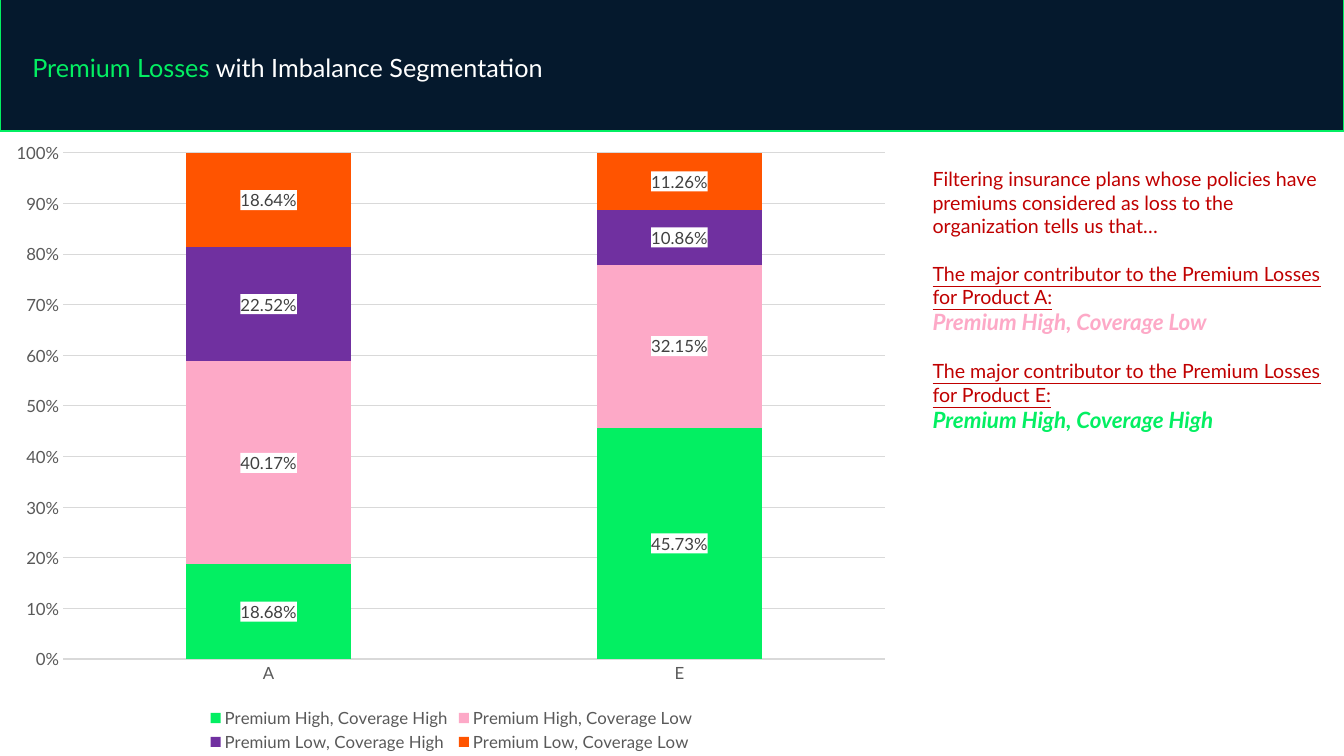
import pptx
import pptx.chart.data
import pptx.dml.color
import pptx.enum.chart
import pptx.enum.shapes
import pptx.enum.text
import pptx.oxml
import pptx.oxml.ns
import pptx.util

Pt = pptx.util.Pt

# Content
TITLE = [("Premium Losses ", "green"), ("with Imbalance Segmentation", "white")]
PRODUCTS = ["A", "E"]
SEGMENTS = [
    ("Premium High, Coverage High", (0.1868, 0.4573), "green"),
    ("Premium High, Coverage Low", (0.4017, 0.3215), "pink"),
    ("Premium Low, Coverage High", (0.2252, 0.1086), "purple"),
    ("Premium Low, Coverage Low", (0.1864, 0.1126), "orange"),
]
# Text, style, space before
FINDINGS = [
    ("Filtering insurance plans whose policies have premiums considered as loss "
     "to the organization tells us that…", "intro", 0),
    ("The major contributor to the Premium Losses for Product A:", "lead", 16.8),
    ("Premium High, Coverage Low", "pink", 0),
    ("The major contributor to the Premium Losses for Product E:", "lead", 16.8),
    ("Premium High, Coverage High", "green", 0),
]

# Theme
THEME = {
    "font": "Lato",
    "colors": {
        "navy": "05192D", "green": "03EF62", "white": "FFFFFF", "red": "C00000",
        "pink": "FDA9C7", "purple": "7030A0", "orange": "FF5400",
        "axis": "595959", "label": "404040", "grid": "D9D9D9",
    },
    "sizes": {"title": 18, "body": 14, "answer": 16, "chart": 12},
}

# Layout
SLIDE_W, SLIDE_H = 960, 540
HEADER_TOP, HEADER_BOTTOM = -1.44, 93.6
CHART_W = 645
PLOT = {"x": 0.07, "y": 0.035, "w": 0.91, "h": 0.81}


def color(name):
    return pptx.dml.color.RGBColor.from_string(THEME["colors"][name])


def style_font(font, size, color_name):
    font.name = THEME["font"]
    font.size = Pt(THEME["sizes"][size])
    font.color.rgb = color(color_name)


def paint(fill, color_name):
    fill.solid()
    fill.fore_color.rgb = color(color_name)


def add_text_frame(slide, left, top, width, height):
    frame = slide.shapes.add_textbox(Pt(left), Pt(top), Pt(width), Pt(height)).text_frame
    frame.word_wrap = True
    return frame


def chart_xml(tag, body):
    return pptx.oxml.parse_xml(
        f"<c:{tag} {pptx.oxml.ns.nsdecls('c', 'a')}>{body}</c:{tag}>")


def add_header(slide):
    band = slide.shapes.add_shape(
        pptx.enum.shapes.MSO_SHAPE.RECTANGLE,
        0, Pt(HEADER_TOP), Pt(SLIDE_W), Pt(HEADER_BOTTOM - HEADER_TOP))
    band.shadow.inherit = False
    paint(band.fill, "navy")
    band.line.color.rgb = color("green")
    band.line.width = Pt(1.5)
    title = add_text_frame(slide, 16, 34, 753, 29).paragraphs[0]
    for words, color_name in TITLE:
        run = title.add_run()
        run.text = words
        style_font(run.font, "title", color_name)


def add_findings(slide):
    frame = add_text_frame(slide, 659, 116, 295, 199)
    for index, (words, kind, gap) in enumerate(FINDINGS):
        finding = frame.paragraphs[0] if index == 0 else frame.add_paragraph()
        finding.text = words
        if gap:
            finding.space_before = Pt(gap)
        font = finding.runs[0].font
        if kind in ("intro", "lead"):
            style_font(font, "body", "red")
            font.underline = kind == "lead"
        else:
            style_font(font, "answer", kind)
            font.bold = font.italic = True


def style_axes(chart):
    for axis in (chart.category_axis, chart.value_axis):
        axis.major_tick_mark = axis.minor_tick_mark = pptx.enum.chart.XL_TICK_MARK.NONE
        style_font(axis.tick_labels.font, "chart", "axis")
    products, share = chart.category_axis, chart.value_axis
    products.format.line.color.rgb = color("grid")
    products.format.line.width = Pt(0.75)
    share.format.line.fill.background()
    share.minimum_scale, share.maximum_scale, share.major_unit = 0, 1, 0.1
    share.tick_labels.number_format = "0%"
    share.tick_labels.number_format_is_linked = False
    share.major_gridlines.format.line.color.rgb = color("grid")
    share.major_gridlines.format.line.width = Pt(0.75)


def style_segment(segment, color_name):
    paint(segment.format.fill, color_name)
    labels = segment.data_labels
    labels.show_value = True
    labels.number_format = "0.00%"
    labels.number_format_is_linked = False
    labels.position = pptx.enum.chart.XL_LABEL_POSITION.CENTER
    style_font(labels.font, "chart", "label")
    # White plate behind each label
    plate = chart_xml("spPr", f'<a:solidFill><a:srgbClr val="{color("white")}"/></a:solidFill>')
    labels._element.find(pptx.oxml.ns.qn("c:numFmt")).addnext(plate)


def add_loss_chart(slide):
    data = pptx.chart.data.CategoryChartData(number_format="0.00%")
    data.categories = PRODUCTS
    for name, shares, _ in SEGMENTS:
        data.add_series(name, shares)
    chart = slide.shapes.add_chart(
        pptx.enum.chart.XL_CHART_TYPE.COLUMN_STACKED_100,
        0, Pt(HEADER_BOTTOM), Pt(CHART_W), Pt(SLIDE_H - HEADER_BOTTOM), data).chart
    chart.has_title = False
    style_font(chart.font, "chart", "axis")
    columns = chart.plots[0]
    columns.gap_width, columns.overlap = 150, 100
    columns.vary_by_categories = False
    for segment, (_, _, color_name) in zip(columns.series, SEGMENTS):
        style_segment(segment, color_name)
    style_axes(chart)

    chart.has_legend = True
    chart.legend.position = pptx.enum.chart.XL_LEGEND_POSITION.BOTTOM
    chart.legend.include_in_layout = False
    style_font(chart.legend.font, "chart", "axis")

    # Fixed plot area
    modes = '<c:layoutTarget val="inner"/><c:xMode val="edge"/><c:yMode val="edge"/>'
    sides = "".join(f'<c:{side} val="{part}"/>' for side, part in PLOT.items())
    layout = chart_xml("layout", f"<c:manualLayout>{modes}{sides}</c:manualLayout>")
    plot_area = chart._chartSpace.chart.plotArea
    for old in plot_area.findall(pptx.oxml.ns.qn("c:layout")):
        plot_area.remove(old)
    plot_area.insert(0, layout)


def main():
    deck = pptx.Presentation()
    deck.slide_width, deck.slide_height = Pt(SLIDE_W), Pt(SLIDE_H)
    slide = deck.slides.add_slide(deck.slide_layouts[6])
    add_header(slide)
    add_findings(slide)
    add_loss_chart(slide)
    deck.save("out.pptx")


if __name__ == "__main__":
    main()
